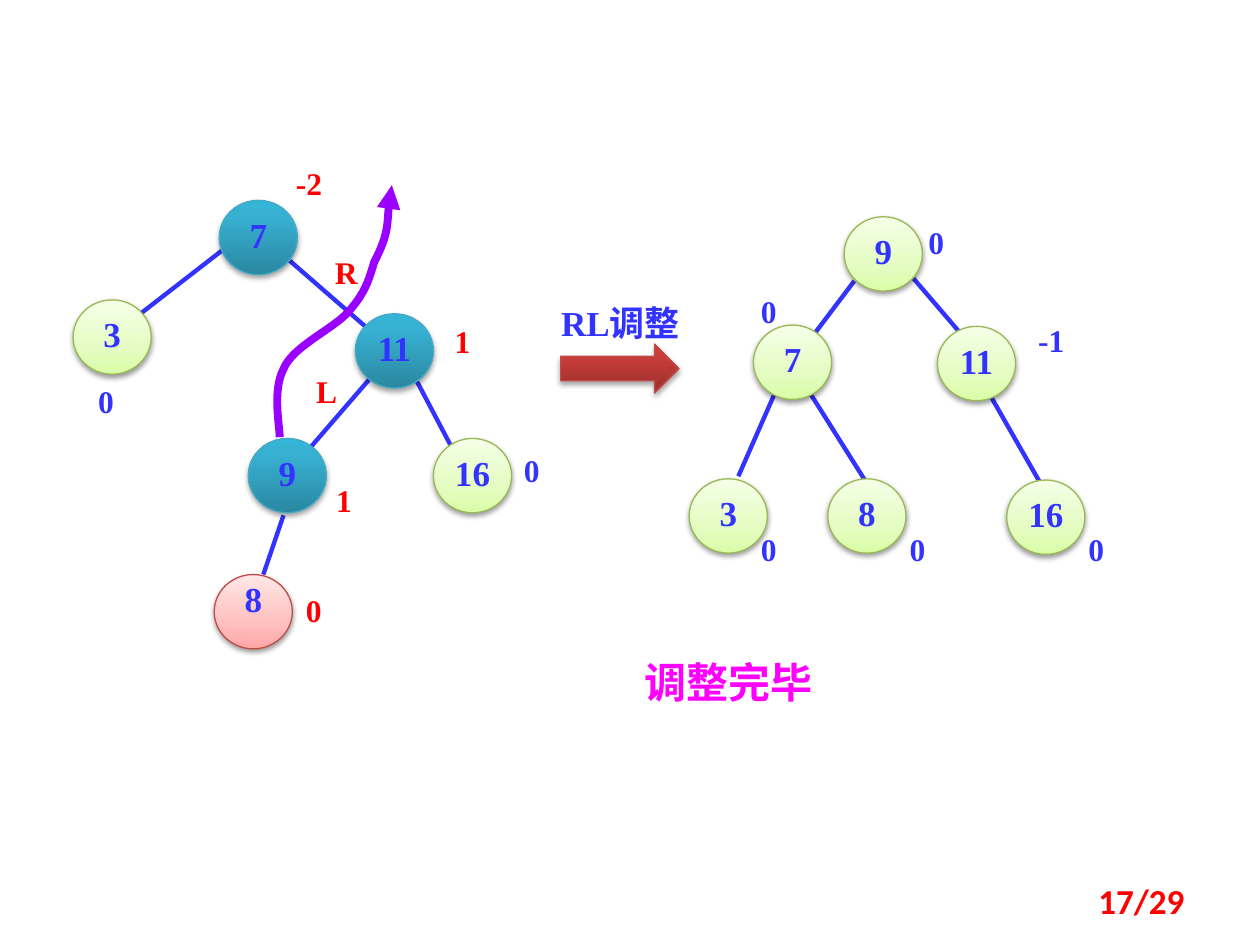
from dataclasses import dataclass
from typing import Any, NamedTuple

from lxml import etree
from pptx import Presentation
from pptx.dml.color import RGBColor
from pptx.enum import shapes, text
from pptx.oxml import ns
from pptx.util import Inches, Pt


class Look(NamedTuple):
    stops: tuple[tuple[int, str], ...]
    outline: str
    shadow_alpha: int
    shadow_distance: float


@dataclass(frozen=True)
class Theme:
    blue: str = "3333FF"
    red: str = "FF0000"
    magenta: str = "FF00FF"
    purple: str = "9900FF"
    serif: str = "Times New Roman"
    sans: str = "Calibri"
    label_size: int = 18
    node_size: int = 20
    title_size: int = 24
    edge_width: float = 2.5
    route_width: float = 4.5
    outline_width: float = 0.75
    green_look: Look = Look(((0, "DAFDA7"), (35, "E4FCC2"), (100, "F5FFE7")), "98B955", 38, 1.6)
    teal_look: Look = Look(((0, "2A88A2"), (80, "37B1D2"), (100, "34B4D6")), "46AAC5", 35, 1.8)
    pink_look: Look = Look(((0, "FFA6A5"), (35, "FFC0BF"), (100, "FFE7E7")), "BF4C48", 38, 1.6)
    arrow_look: Look = Look(((0, "9C2F2D"), (80, "CB3E3A"), (100, "CE3B37")), "BF4C48", 35, 1.8)


THEME = Theme()
NODE_WIDTH, NODE_HEIGHT = 0.62, 0.59
LABEL_HEIGHT = 0.4


class Node(NamedTuple):
    key: str
    left: float
    top: float
    look: Look = THEME.green_look
    inset: float = 0.08


class Edge(NamedTuple):
    x1: float
    y1: float
    x2: float
    y2: float


class Label(NamedTuple):
    wording: str
    left: float
    top: float
    width: float = 0.31
    color: str = THEME.blue
    size: int = THEME.label_size
    height: float = LABEL_HEIGHT
    align: Any = text.PP_ALIGN.LEFT
    font: str = THEME.serif
    anchor: Any = text.MSO_ANCHOR.TOP


class Tree(NamedTuple):
    edges: list[Edge]
    nodes: list[Node]
    labels: list[Label]


def add_xml(parent: Any, tag: str, **attributes: Any) -> Any:
    values = {name: str(value) for name, value in attributes.items()}
    return etree.SubElement(parent, ns.qn(tag), values)


def write(frame: Any, wording: str, color: str, size: int, font: str, align: Any) -> Any:
    para = frame.paragraphs[0]
    para.text, para.alignment = wording, align
    para.font.name, para.font.size, para.font.bold = font, Pt(size), True
    para.font.color.rgb = RGBColor.from_string(color)
    return para


def apply_look(shape: Any, look: Look) -> None:
    shape.fill.gradient()
    shape.fill.gradient_angle = 90
    stop_list = next(shape.element.iter(ns.qn("a:gsLst")))
    stop_list.clear()
    for position, color in look.stops:
        stop = add_xml(stop_list, "a:gs", pos=position * 1000)
        add_xml(stop, "a:srgbClr", val=color)
    shape.line.color.rgb = RGBColor.from_string(look.outline)
    shape.line.width = Pt(THEME.outline_width)
    # Soft shadow straight below
    shape.shadow.inherit = False
    effects = next(shape.element.iter(ns.qn("a:effectLst")))
    shadow = add_xml(effects, "a:outerShdw", blurRad=Pt(3.1), dist=Pt(look.shadow_distance),
                     dir=90 * 60000, rotWithShape=0)
    shade = add_xml(shadow, "a:srgbClr", val="000000")
    add_xml(shade, "a:alpha", val=look.shadow_alpha * 1000)


def draw_edge(canvas: Any, edge: Edge) -> None:
    line = canvas.add_connector(shapes.MSO_CONNECTOR.STRAIGHT, *map(Inches, edge))
    line.line.color.rgb = RGBColor.from_string(THEME.blue)
    line.line.width = Pt(THEME.edge_width)
    add_xml(line.element.spPr, "a:effectLst")


def draw_node(canvas: Any, node: Node) -> None:
    circle = canvas.add_shape(shapes.MSO_SHAPE.OVAL, Inches(node.left), Inches(node.top),
                              Inches(NODE_WIDTH), Inches(NODE_HEIGHT))
    apply_look(circle, node.look)
    frame = circle.text_frame
    frame.margin_left = frame.margin_right = frame.margin_bottom = 0
    frame.margin_top = Inches(node.inset)
    frame.vertical_anchor = text.MSO_ANCHOR.TOP
    para = write(frame, node.key, THEME.blue, THEME.node_size, THEME.serif, text.PP_ALIGN.CENTER)
    para.line_spacing = 0.8


def draw_label(canvas: Any, label: Label) -> None:
    box = canvas.add_textbox(Inches(label.left), Inches(label.top),
                             Inches(label.width), Inches(label.height))
    box.text_frame.word_wrap = True
    box.text_frame.vertical_anchor = label.anchor
    write(box.text_frame, label.wording, label.color, label.size, label.font, label.align)


def draw_tree(canvas: Any, tree: Tree) -> None:
    for edge in tree.edges:
        draw_edge(canvas, edge)
    for node in tree.nodes:
        draw_node(canvas, node)
    for label in tree.labels:
        draw_label(canvas, label)


def draw_route(canvas: Any, points: list[tuple[float, float]]) -> None:
    """Draw a Bezier arrow: a start, then two controls and an end per curve."""
    start, *rest = [(Inches(x), Inches(y)) for x, y in points]
    builder = canvas.build_freeform(*start)
    builder.add_line_segments(rest, close=False)
    route = builder.convert_to_shape()
    route.fill.background()
    route.line.color.rgb = RGBColor.from_string(THEME.purple)
    route.line.width = Pt(THEME.route_width)
    route.shadow.inherit = False
    outline = next(route.element.iter(ns.qn("a:path")))
    steps = outline.findall(ns.qn("a:lnTo"))
    for first in range(0, len(steps), 3):
        curve = add_xml(outline, "a:cubicBezTo")
        for step in steps[first:first + 3]:
            curve.append(step[0])
            outline.remove(step)
    add_xml(route.element.spPr.find(ns.qn("a:ln")), "a:tailEnd", type="triangle")


TEAL, RED = THEME.teal_look, THEME.red
BEFORE = Tree(
    [Edge(2.3, 2.07, 2.91, 2.6), Edge(1.76, 1.99, 1.05, 2.54), Edge(2.94, 3, 2.37, 3.66),
     Edge(3.3, 3.01, 3.59, 3.56), Edge(2.25, 4.09, 2.09, 4.56)],
    [Node("7", 1.74, 1.59, TEAL), Node("3", 0.58, 2.38), Node("11", 2.82, 2.49, TEAL),
     Node("9", 1.97, 3.48, TEAL), Node("16", 3.44, 3.48),
     Node("8", 1.7, 4.56, THEME.pink_look, 0)],
    [Label("R", 2.56, 1.96, 0.39, RED), Label("L", 2.41, 2.9, 0.39, RED),
     Label("0", 2.33, 4.64, color=RED), Label("1", 2.57, 3.77, color=RED),
     Label("0", 4.06, 3.53), Label("1", 3.51, 2.51, color=RED),
     Label("0", 0.68, 2.98), Label("-2", 2.25, 1.25, 0.47, RED)],
)
AFTER = Tree(
    [Edge(6.41, 3.09, 6.87, 3.82), Edge(6.15, 3.12, 5.86, 3.78), Edge(6.78, 2.23, 6.38, 2.76),
     Edge(7.25, 2.21, 7.61, 2.63), Edge(7.86, 3.14, 8.26, 3.84)],
    [Node("8", 6.57, 3.8), Node("3", 5.47, 3.8), Node("9", 6.7, 1.72),
     Node("7", 5.98, 2.58), Node("11", 7.44, 2.59), Node("16", 7.99, 3.81)],
    [Label("0", 5.94, 4.16), Label("0", 7.12, 4.16), Label("0", 8.54, 4.16),
     Label("0", 7.27, 1.72), Label("0", 5.94, 2.27), Label("-1", 8.14, 2.5, 0.55)],
)
ROUTE = [(2.22, 3.47), (2.22, 3.38), (2.16, 3.1), (2.25, 2.93), (2.32, 2.75), (2.65, 2.61),
         (2.77, 2.47), (2.89, 2.33), (2.92, 2.25), (2.97, 2.08), (3.09, 1.85), (3.08, 1.6),
         (3.11, 1.47)]
CAPTIONS = [
    Label("调整完毕", 4.84, 5.16, 1.89, THEME.magenta, THEME.title_size, 0.5,
          text.PP_ALIGN.CENTER),
    Label("RL调整", 4.3, 2.34, 1.25, THEME.blue, THEME.node_size, 0.44, text.PP_ALIGN.CENTER),
    Label("17/29", 7.17, 6.95, 2.33, RED, THEME.node_size, LABEL_HEIGHT,
          text.PP_ALIGN.RIGHT, THEME.sans, text.MSO_ANCHOR.MIDDLE),
]


def main() -> None:
    deck = Presentation()
    deck.slide_width, deck.slide_height = Inches(10), Inches(7.5)
    page = deck.slides.add_slide(deck.slide_layouts[6])

    # Trees before and after the rotation
    draw_tree(page.shapes, BEFORE)
    draw_tree(page.shapes.add_group_shape().shapes, AFTER)

    # Rotation route, step arrow and captions
    draw_route(page.shapes, ROUTE)
    arrow = page.shapes.add_shape(shapes.MSO_SHAPE.RIGHT_ARROW, Inches(4.45), Inches(2.73),
                                  Inches(0.94), Inches(0.39))
    apply_look(arrow, THEME.arrow_look)
    for caption in CAPTIONS:
        draw_label(page.shapes, caption)

    deck.save("out.pptx")


if __name__ == "__main__":
    main()
